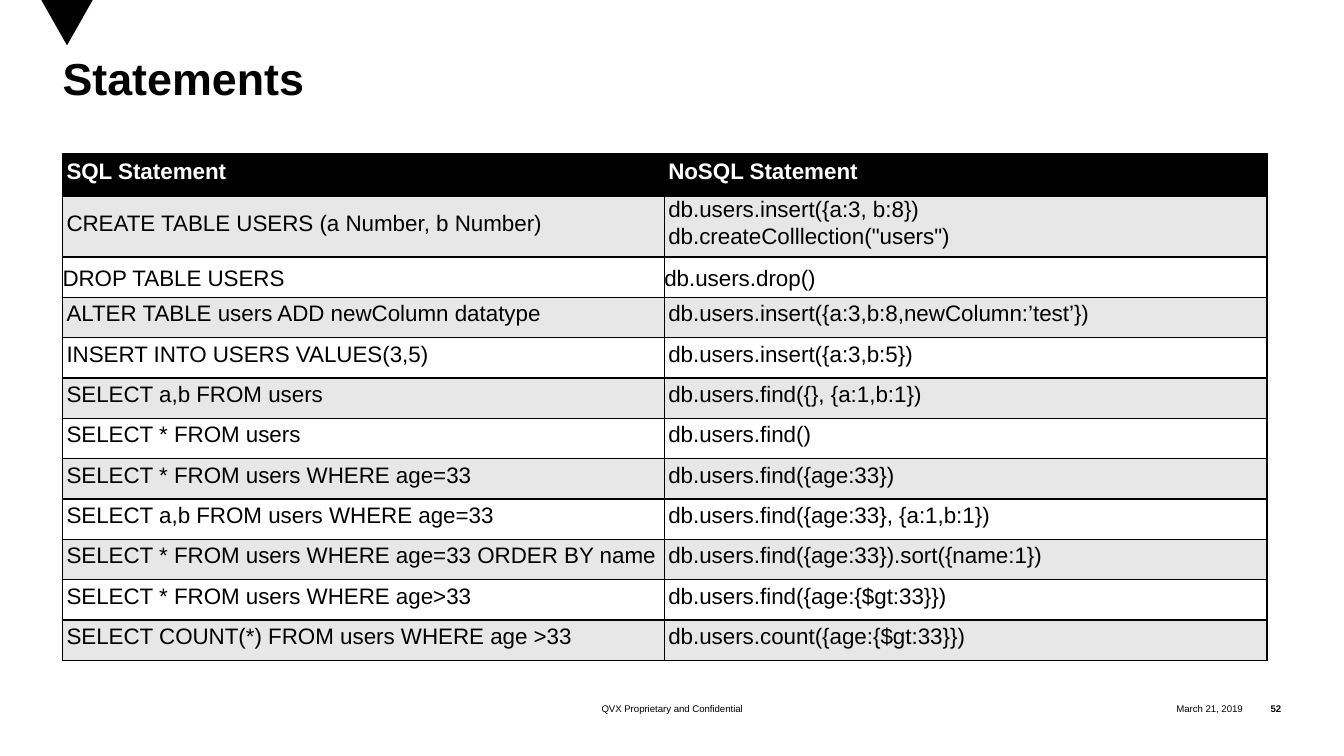
from dataclasses import dataclass

from lxml import etree
from pptx import Presentation
from pptx.dml.color import RGBColor
from pptx.enum.shapes import MSO_SHAPE
from pptx.enum.text import MSO_ANCHOR, MSO_AUTO_SIZE, PP_ALIGN
from pptx.oxml.ns import qn
from pptx.slide import Slide
from pptx.table import _Cell
from pptx.text.text import TextFrame, _Paragraph
from pptx.util import Inches, Pt

LEFT, CENTER, RIGHT = PP_ALIGN.LEFT, PP_ALIGN.CENTER, PP_ALIGN.RIGHT
TOP, MIDDLE = MSO_ANCHOR.TOP, MSO_ANCHOR.MIDDLE
DOWN_TRIANGLE = MSO_SHAPE.FLOWCHART_MERGE
NO_AUTOFIT = MSO_AUTO_SIZE.NONE

# The slide is a grid of square modules, a tenth of an inch each.
SLIDE_COLUMNS, SLIDE_ROWS = 133.33, 75
FONT = "Arial"
BLACK, WHITE, GREY = "000000", "FFFFFF", "E7E7E7"

TABLE_LEFT, TABLE_TOP = 6.2, 15.2
COLUMN_WIDTHS = (59.7, 59.8)
HEADER_HEIGHT, DOUBLE_HEIGHT, ROW_HEIGHT = 4.3, 6, 4
CELL_INSET = 0.4


@dataclass(frozen=True)
class Box:
    column: float
    row: float
    columns: float
    rows: float

    def emu(self) -> tuple[int, int, int, int]:
        return (grid(self.column), grid(self.row),
                grid(self.columns), grid(self.rows))


@dataclass(frozen=True)
class FooterItem:
    text: str
    box: Box
    align: PP_ALIGN
    bold: bool = False


@dataclass(frozen=True)
class Statement:
    """One table row; a line feed in a text starts a new paragraph."""
    sql: str
    document: str
    height: float = ROW_HEIGHT
    header: bool = False
    flush: bool = False


FOOTER = (
    FooterItem("March 21, 2019", Box(108.4, 69.1, 14.9, 2.5), RIGHT),
    FooterItem("52", Box(123.3, 69.1, 3.8, 2.5), RIGHT, bold=True),
    FooterItem("QVX Proprietary and Confidential",
               Box(43.8, 69.1, 45.8, 2.5), CENTER),
)

STATEMENTS = (
    Statement("SQL Statement", "NoSQL Statement", HEADER_HEIGHT, header=True),
    Statement("CREATE TABLE USERS (a Number, b Number)",
              'db.users.insert({a:3, b:8})\ndb.createColllection("users")',
              DOUBLE_HEIGHT),
    Statement("DROP TABLE USERS", "db.users.drop()", flush=True),
    Statement("ALTER TABLE users ADD newColumn datatype",
              "db.users.insert({a:3,b:8,newColumn:’test’})"),
    Statement("INSERT INTO USERS VALUES(3,5)", "db.users.insert({a:3,b:5})"),
    Statement("SELECT a,b FROM users", "db.users.find({}, {a:1,b:1})"),
    Statement("SELECT * FROM users", "db.users.find()"),
    Statement("SELECT * FROM users WHERE age=33", "db.users.find({age:33})"),
    Statement("SELECT a,b FROM users WHERE age=33",
              "db.users.find({age:33}, {a:1,b:1})"),
    Statement("SELECT * FROM users WHERE age=33 ORDER BY name",
              "db.users.find({age:33}).sort({name:1})"),
    Statement("SELECT * FROM users WHERE age>33",
              "db.users.find({age:{$gt:33}})"),
    Statement("SELECT COUNT(*) FROM users WHERE age >33",
              "db.users.count({age:{$gt:33}})"),
)


def grid(modules: float) -> int:
    return Inches(modules / 10)


def color(hex_code: str) -> RGBColor:
    return RGBColor.from_string(hex_code)


def add_run(paragraph: _Paragraph, text: str, size: float,
            hex_code: str = BLACK, bold: bool = False) -> None:
    run = paragraph.add_run()
    run.text = text
    run.font.name = FONT
    run.font.size = Pt(size)
    run.font.bold = bold
    run.font.color.rgb = color(hex_code)


def set_frame(frame: TextFrame, anchor: MSO_ANCHOR) -> None:
    """Wrap the text, anchor it and take away the insets."""
    frame.word_wrap = True
    frame.auto_size = NO_AUTOFIT
    frame.vertical_anchor = anchor
    frame.margin_left = frame.margin_right = 0
    frame.margin_top = frame.margin_bottom = 0


def add_marker(slide: Slide) -> None:
    marker = slide.shapes.add_shape(DOWN_TRIANGLE, *Box(4.1, 0, 5.1, 4.5).emu())
    marker.shadow.inherit = False
    marker.fill.solid()
    marker.fill.fore_color.rgb = color(BLACK)
    marker.line.fill.background()


def add_footer_item(slide: Slide, item: FooterItem) -> None:
    frame = slide.shapes.add_textbox(*item.box.emu()).text_frame
    set_frame(frame, MIDDLE)
    frame.paragraphs[0].alignment = item.align
    add_run(frame.paragraphs[0], item.text, 6.9, bold=item.bold)


def set_title(slide: Slide, text: str) -> None:
    title = slide.shapes.title
    title.left, title.top, title.width, title.height = Box(6.2, 5.8, 120.8, 12.9).emu()
    set_frame(title.text_frame, TOP)
    heading = title.text_frame.paragraphs[0]
    heading.alignment = LEFT
    heading.line_spacing = 0.85
    add_run(heading, text, 32, bold=True)


def add_borders(cell: _Cell) -> None:
    properties = cell._tc.get_or_add_tcPr()
    for side in ("a:lnL", "a:lnR", "a:lnT", "a:lnB"):
        line = etree.SubElement(properties, qn(side), w=str(Pt(1)))
        fill = etree.SubElement(line, qn("a:solidFill"))
        etree.SubElement(fill, qn("a:srgbClr"), val=BLACK)


def fill_cell(cell: _Cell, text: str, statement: Statement, shade: str) -> None:
    add_borders(cell)
    cell.fill.solid()
    cell.fill.fore_color.rgb = color(shade)
    cell.vertical_anchor = MIDDLE
    inset = 0 if statement.flush else grid(CELL_INSET)
    cell.margin_left = cell.margin_right = inset
    cell.margin_top = cell.margin_bottom = inset

    lines = text.split("\n")
    for number, line in enumerate(lines, start=1):
        frame = cell.text_frame
        paragraph = frame.paragraphs[0] if number == 1 else frame.add_paragraph()
        paragraph.line_spacing = 1.15 if statement.flush else Pt(13)
        if number == len(lines) and not (statement.flush or statement.header):
            paragraph.space_before = paragraph.space_after = Pt(6.2)
        add_run(paragraph, line, 16, WHITE if statement.header else BLACK,
                bold=statement.header)


def add_statement_table(slide: Slide) -> None:
    box = Box(TABLE_LEFT, TABLE_TOP, sum(COLUMN_WIDTHS),
              sum(statement.height for statement in STATEMENTS))
    table = slide.shapes.add_table(
        len(STATEMENTS), len(COLUMN_WIDTHS), *box.emu()).table
    table.first_row = table.horz_banding = False
    for column, width in zip(table.columns, COLUMN_WIDTHS):
        column.width = grid(width)
    for index, statement in enumerate(STATEMENTS):
        table.rows[index].height = grid(statement.height)
        shade = BLACK if statement.header else GREY if index % 2 else WHITE
        for column, text in enumerate((statement.sql, statement.document)):
            fill_cell(table.cell(index, column), text, statement, shade)


def main() -> None:
    presentation = Presentation()
    presentation.slide_width = grid(SLIDE_COLUMNS)
    presentation.slide_height = grid(SLIDE_ROWS)
    title_only = presentation.slide_layouts[5]
    slide = presentation.slides.add_slide(title_only)
    add_marker(slide)
    for item in FOOTER:
        add_footer_item(slide, item)
    set_title(slide, "Statements")
    add_statement_table(slide)
    presentation.save("out.pptx")


if __name__ == "__main__":
    main()
